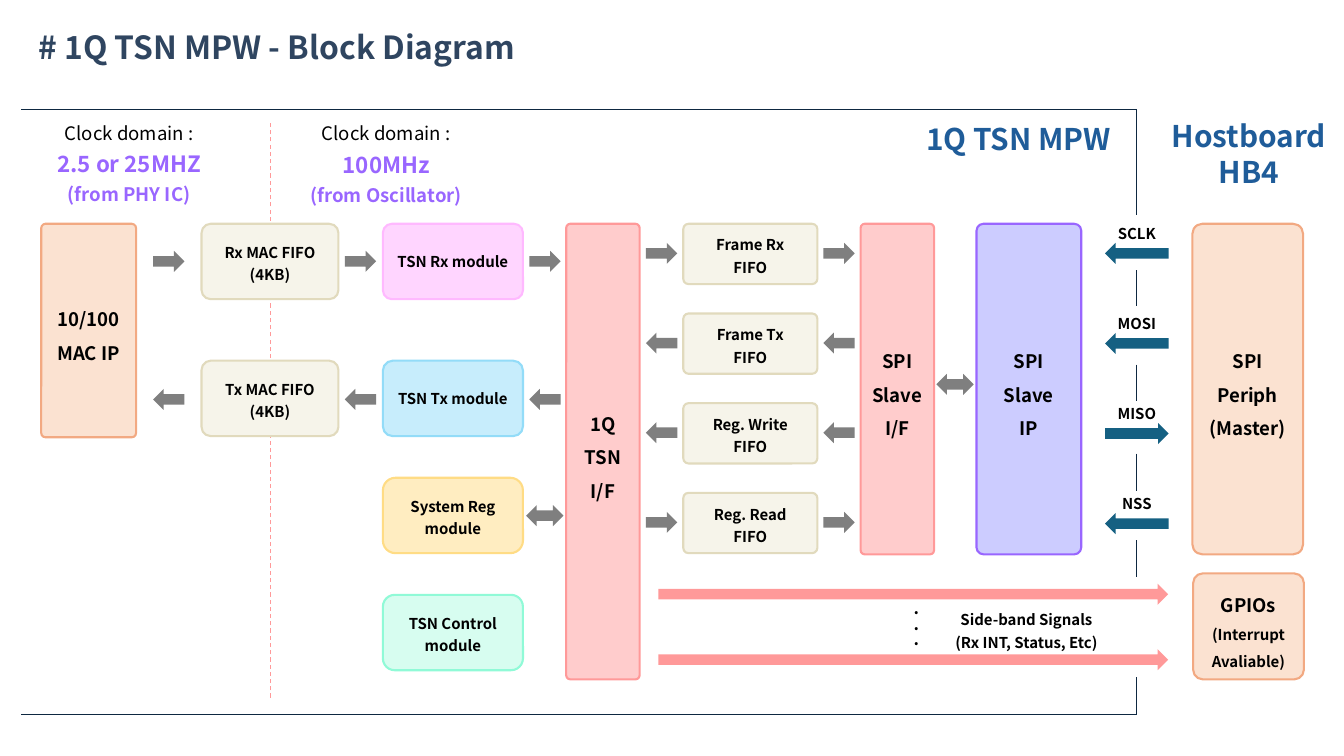
from pptx import Presentation
from pptx.dml.color import RGBColor
from pptx.enum.dml import MSO_LINE
from pptx.enum.shapes import MSO_CONNECTOR, MSO_SHAPE as SHAPE
from pptx.enum.text import MSO_ANCHOR as ANCHOR, PP_ALIGN as ALIGN
from pptx.oxml.ns import qn
from pptx.util import Cm, Pt
from lxml import etree

FONT = "Noto Sans CJK KR"
BLACK = RGBColor(0x00, 0x00, 0x00)
NAVY = RGBColor(0x0E, 0x28, 0x41)
SLATE = RGBColor(0x2F, 0x45, 0x60)
BLUE = RGBColor(0x1F, 0x5C, 0x99)
TEAL = RGBColor(0x15, 0x60, 0x82)
GRAY = RGBColor(0x7F, 0x7F, 0x7F)
VIOLET = RGBColor(0x99, 0x66, 0xFF)
LAVENDER = RGBColor(0xCC, 0xCC, 0xFF)
RED = RGBColor(0xFF, 0x99, 0x99)
ROSE = RGBColor(0xFF, 0xCC, 0xCC)
PEACH = RGBColor(0xFB, 0xE2, 0xD1)
ORANGE = RGBColor(0xF2, 0xA9, 0x82)
CREAM = RGBColor(0xF6, 0xF4, 0xEA)
SAND = RGBColor(0xE1, 0xDA, 0xBD)
PINK = RGBColor(0xFF, 0xD5, 0xFF)
PINK_EDGE = RGBColor(0xFF, 0xB9, 0xFF)
SKY = RGBColor(0xC7, 0xED, 0xFC)
SKY_EDGE = RGBColor(0x93, 0xDC, 0xF8)
YELLOW = RGBColor(0xFF, 0xED, 0xC1)
YELLOW_EDGE = RGBColor(0xFF, 0xDC, 0x85)
MINT = RGBColor(0xD7, 0xFD, 0xF0)
MINT_EDGE = RGBColor(0x90, 0xFA, 0xD7)

prs = Presentation()
prs.slide_width, prs.slide_height = Cm(33.87), Cm(19.05)
s = prs.slides.add_slide(prs.slide_layouts[6])


def add_text(text, x, y, w, h, sp=None, size=10.7, color=BLACK, bold=True,
             spacing=1.0, align=ALIGN.CENTER, anchor=ANCHOR.MIDDLE, inset=(0.25, 0.13)):
    """Write text, one paragraph a line, in sp or in a new text box."""
    sp = sp or s.shapes.add_textbox(Cm(x), Cm(y), Cm(w), Cm(h))
    tf = sp.text_frame
    tf.word_wrap, tf.vertical_anchor = True, anchor
    tf.margin_left = tf.margin_right = Cm(inset[0])
    tf.margin_top = tf.margin_bottom = Cm(inset[1])
    tf.text = text
    for p in tf.paragraphs:
        p.alignment, p.line_spacing = align, spacing
        font = p.runs[0].font
        font.name, font.size, font.bold = FONT, Pt(size), bold
        font.color.rgb = color
    return tf.paragraphs


def add_block(kind, x, y, w, h, fill, edge=None, adj=None):
    sp = s.shapes.add_shape(kind, Cm(x), Cm(y), Cm(w), Cm(h))
    sp.shadow.inherit = False
    sp.fill.solid()
    sp.fill.fore_color.rgb = fill
    if edge is None:
        sp.line.fill.background()
    else:
        sp.line.color.rgb = edge
        sp.line.width = Pt(1.5)
    if adj is not None:
        sp.adjustments[0] = adj
    return sp


# Clock domain divider and chip boundary
EDGE_X, TOP, BOTTOM = 28.65, 2.77, 18.01
lines = [(6.81, 17.58, 6.81, 3.05, RED),
         (0.53, TOP, EDGE_X, TOP, NAVY),
         (0.53, BOTTOM, EDGE_X, BOTTOM, NAVY)]
for y1, y2 in [(TOP, 5.41), (6.81, 7.72), (9.19, 10.11), (11.43, 12.37),
               (13.61, 14.55), (17.07, BOTTOM)]:
    lines.append((EDGE_X, y1, EDGE_X, y2, NAVY))
for x1, y1, x2, y2, color in lines:
    line = s.shapes.add_connector(MSO_CONNECTOR.STRAIGHT, Cm(x1), Cm(y1), Cm(x2), Cm(y2))
    line.line.color.rgb = color
    line.line.width = Pt(0.75)
    if color == RED:
        line.line.dash_style = MSO_LINE.DASH
    etree.SubElement(line._element.spPr, qn("a:effectLst"))

# Tall blocks
ROW1, ROW2 = 5.64, 9.09
gpio = None
for text, x, y, w, h, fill, edge, adj in [
        ("10/100\nMAC IP", 1.04, ROW1, 2.39, 5.38, PEACH, ORANGE, 0.046),
        ("1Q\nTSN\nI/F", 14.27, ROW1, 1.85, 11.48, ROSE, RED, 0.056),
        ("SPI\nSlave\nI/F", 21.69, ROW1, 1.85, 8.33, ROSE, RED, 0.056),
        ("SPI\nSlave\nIP", 24.61, ROW1, 2.64, 8.33, LAVENDER, VIOLET, 0.067),
        ("SPI\nPeriph\n(Master)", 30.05, ROW1, 2.79, 8.33, PEACH, ORANGE, 0.091),
        ("GPIOs\n(Interrupt\nAvaliable)", 30.07, 14.45, 2.79, 2.67, PEACH, ORANGE, 0.091)]:
    sp = add_block(SHAPE.ROUNDED_RECTANGLE, x, y, w, h, fill, edge, adj)
    gpio = add_text(text, x, y, w, h, sp=sp, size=13.3, spacing=1.5)
for p in gpio[1:]:
    p.runs[0].font.size = Pt(10.7)

# Modules and FIFOs
PITCH = 2.26
modules = [
    ("Rx MAC FIFO\n(4KB)", 5.08, ROW1, 3.45, 1.9, CREAM, SAND, 0.122),
    ("Tx MAC FIFO\n(4KB)", 5.08, ROW2, 3.45, 1.9, CREAM, SAND, 0.122),
    ("TSN Rx module", 9.65, ROW1, 3.53, 1.9, PINK, PINK_EDGE, 0.118),
    ("TSN Tx module", 9.65, ROW2, 3.53, 1.9, SKY, SKY_EDGE, 0.13),
    ("System Reg\nmodule", 9.65, 12.04, 3.53, 1.9, YELLOW, YELLOW_EDGE, 0.167),
    ("TSN Control\nmodule", 9.65, 14.99, 3.53, 1.9, MINT, MINT_EDGE, 0.157)]
for i, name in enumerate(["Frame Rx", "Frame Tx", "Reg. Write", "Reg. Read"]):
    modules.append((name + "\nFIFO", 17.22, ROW1 + i * PITCH, 3.38, 1.52, CREAM, SAND, 0.087))
for text, x, y, w, h, fill, edge, adj in modules:
    sp = add_block(SHAPE.ROUNDED_RECTANGLE, x, y, w, h, fill, edge, adj)
    add_text(text, x, y, w, h, sp=sp, spacing=1.25 if "\n" in text else 1.0)

# Data flow arrows
LEFT, RIGHT, BOTH = SHAPE.LEFT_ARROW, SHAPE.RIGHT_ARROW, SHAPE.LEFT_RIGHT_ARROW
ARROW_H = 0.53
for y, kind in [(6.32, RIGHT), (9.8, LEFT)]:
    for x in (3.86, 8.69, 13.34):
        add_block(kind, x, y, 0.79, ARROW_H, GRAY)
for i, kind in enumerate([RIGHT, LEFT, LEFT, RIGHT]):
    for x in (16.28, 20.75):
        add_block(kind, x, 6.12 + i * PITCH, 0.79, ARROW_H, GRAY)
for x, y in [(13.26, 12.73), (23.6, 9.42)]:
    add_block(BOTH, x, y, 0.94, ARROW_H, GRAY)

# SPI signals
for i, (name, kind) in enumerate([("SCLK", LEFT), ("MOSI", LEFT), ("MISO", RIGHT), ("NSS", LEFT)]):
    add_block(kind, 27.85, 6.12 + i * 2.27, 1.6, ARROW_H, TEAL)
    add_text(name, 27.61, 5.44 + i * 2.27, 2.08, 0.89)

# Side-band signals
for y in (14.71, 16.36):
    add_block(RIGHT, 16.59, y, 12.85, ARROW_H, RED)
add_text(".\n.\n.", 22.56, 14.86, 1.07, 1.9, size=12, spacing=0.75,
         anchor=ANCHOR.TOP, inset=(0.33, 0.33))
add_text("Side-band Signals\n(Rx INT, Status, Etc)", 23.7, 15.21, 4.34, 1.27, spacing=1.25)

# Clock domain labels
for text, x, y, h in [("Clock domain :\n2.5 or 25MHZ\n(from PHY IC)", 0.51, 2.87, 2.36),
                      ("Clock domain :\n100MHz\n(from Oscillator)", 6.99, 3.0, 2.13)]:
    heading, clock, _ = add_text(text, x, y, 5.49, h, size=13.3, color=VIOLET, spacing=1.25)
    heading.runs[0].font.bold = False
    heading.runs[0].font.color.rgb = BLACK
    clock.runs[0].font.size = Pt(16)

# Titles
add_text("# 1Q TSN MPW - Block Diagram", 0.64, 0.08, 13.44, 2.06, size=22.7, color=SLATE,
         spacing=1.15, align=ALIGN.LEFT, inset=(0.33, 0.33))
add_text("1Q TSN MPW", 23.09, 2.9, 5.56, 1.17, size=21.3, color=BLUE,
         align=ALIGN.LEFT, anchor=ANCHOR.TOP)
add_text("Hostboard\nHB4", 29.21, 2.84, 4.52, 2.08, size=21.3, color=BLUE, anchor=ANCHOR.TOP)

prs.save("out.pptx")
